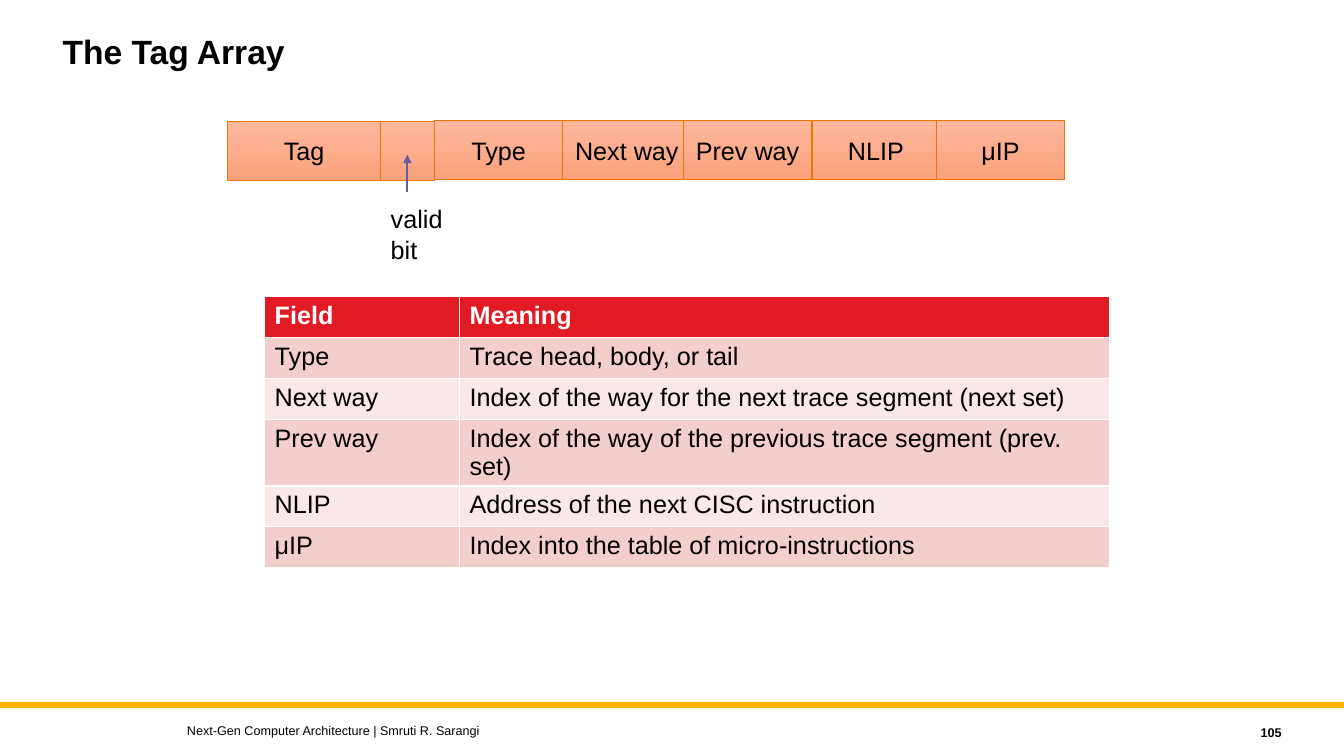
from lxml import etree
from pptx import Presentation
from pptx.dml.color import RGBColor
from pptx.enum import shapes, text
from pptx.oxml import ns
from pptx.util import Pt

BLACK = RGBColor(0, 0, 0)
WHITE = RGBColor(255, 255, 255)
GOLD = RGBColor(0xFF, 0xB6, 0x00)
ORANGE = RGBColor(0xEC, 0x77, 0x00)
PEACH = RGBColor(0xFF, 0xB8, 0x9D)
CORAL = RGBColor(0xF9, 0xA1, 0x7C)
PURPLE = RGBColor(0x62, 0x5D, 0x9C)
RED = RGBColor(0xE2, 0x1A, 0x23)
ROSE = RGBColor(0xF4, 0xCD, 0xCD)
PALE = RGBColor(0xFA, 0xE8, 0xE8)

TITLE = "The Tag Array"
FOOTER = "Next-Gen Computer Architecture | Smruti R. Sarangi"
NUMBER = "105"
WIDE = 91.5
# label, left, top, width
FIELDS = [
    ("Tag", 162.5, 86.5, 109.5),
    ("", 272, 86.5, 38.5),
    ("Type", 310.5, 86, WIDE),
    ("Next way", 402, 86, WIDE),
    ("Prev way", 488.25, 86, WIDE),
    ("NLIP", 580, 86, WIDE),
    ("μIP", 669, 86, WIDE),
]
MEANINGS = [
    ("Field", "Meaning"),
    ("Type", "Trace head, body, or tail"),
    ("Next way", "Index of the way for the next trace segment (next set)"),
    ("Prev way", "Index of the way of the previous trace segment (prev. set)"),
    ("NLIP", "Address of the next CISC instruction"),
    ("μIP", "Index into the table of micro-instructions"),
]
COLS = (139.25, 464.5)
ROW = 29.2

LEFT, CENTER, RIGHT = text.PP_ALIGN.LEFT, text.PP_ALIGN.CENTER, text.PP_ALIGN.RIGHT
TOP, MIDDLE = text.MSO_ANCHOR.TOP, text.MSO_ANCHOR.MIDDLE


def write(frame, lines, size=18, bold=False, color=BLACK, align=LEFT, anchor=TOP):
    frame.word_wrap = True
    frame.vertical_anchor = anchor
    frame.text = lines
    for para in frame.paragraphs:
        para.alignment = align
        font = para.font
        font.name, font.size, font.bold = "Arial", Pt(size), bold
        font.color.rgb = color


def place(item, *area):
    item.left, item.top, item.width, item.height = map(Pt, area)


def label(lines, *area, **style):
    box = slide.shapes.add_textbox(*map(Pt, area))
    write(box.text_frame, lines, **style)


def block(*area):
    """Add a plain rectangle without shadow."""
    rect = slide.shapes.add_shape(shapes.MSO_SHAPE.RECTANGLE, *map(Pt, area))
    rect.shadow.inherit = False
    return rect


def field(name, left, top, width):
    rect = block(left, top, width, 42.5)
    rect.fill.gradient()
    rect.fill.gradient_angle = 270
    for stop, color in zip(rect.fill.gradient_stops, (PEACH, CORAL)):
        stop.color.rgb = color
    rect.line.color.rgb = ORANGE
    rect.line.width = Pt(0.5)
    if name:
        write(rect.text_frame, name, align=CENTER, anchor=MIDDLE)


def arrow(x, start, end):
    line = slide.shapes.add_connector(
        shapes.MSO_CONNECTOR.STRAIGHT, Pt(x), Pt(start), Pt(x), Pt(end))
    line.line.color.rgb = PURPLE
    line.line.width = Pt(1.5)
    etree.SubElement(line.line._get_or_add_ln(), ns.qn("a:tailEnd"), type="triangle")
    etree.SubElement(line._element.spPr, ns.qn("a:effectLst"))


def grid(rows, left, top):
    frame = slide.shapes.add_table(
        len(rows), len(COLS), Pt(left), Pt(top), Pt(sum(COLS)), Pt(ROW * len(rows)))
    table = frame.table
    for col, width in zip(table.columns, COLS):
        col.width = Pt(width)
    for r, row in enumerate(rows):
        table.rows[r].height = Pt(ROW)
        head = r == 0
        for c, words in enumerate(row):
            cell = table.cell(r, c)
            cell.fill.solid()
            cell.fill.fore_color.rgb = RED if head else (PALE, ROSE)[r % 2]
            write(cell.text_frame, words, bold=head, color=WHITE if head else BLACK)


deck = Presentation()
deck.slide_width, deck.slide_height = Pt(960), Pt(540)
slide = deck.slides.add_slide(deck.slide_layouts[5])

bar = block(0, 501.25, 960, 4.5)
bar.fill.solid()
bar.fill.fore_color.rgb = GOLD
bar.line.fill.background()

title = slide.shapes.title
place(title, 37.5, 21.5, 720, 65)
write(title.text_frame, TITLE, size=24, bold=True)
title.text_frame.auto_size = text.MSO_AUTO_SIZE.NONE
title.text_frame.paragraphs[0].line_spacing = 0.9

grid(MEANINGS, 189, 212)
label(FOOTER, 126.5, 512.5, 576, 18, size=9, anchor=MIDDLE)
label(NUMBER, 821.5, 514, 101, 18, size=9, bold=True, align=RIGHT, anchor=MIDDLE)

for entry in FIELDS:
    field(*entry)
label("valid\nbit", 272, 142, 98, 51)
arrow(291, 137.5, 110.5)

deck.save("out.pptx")
